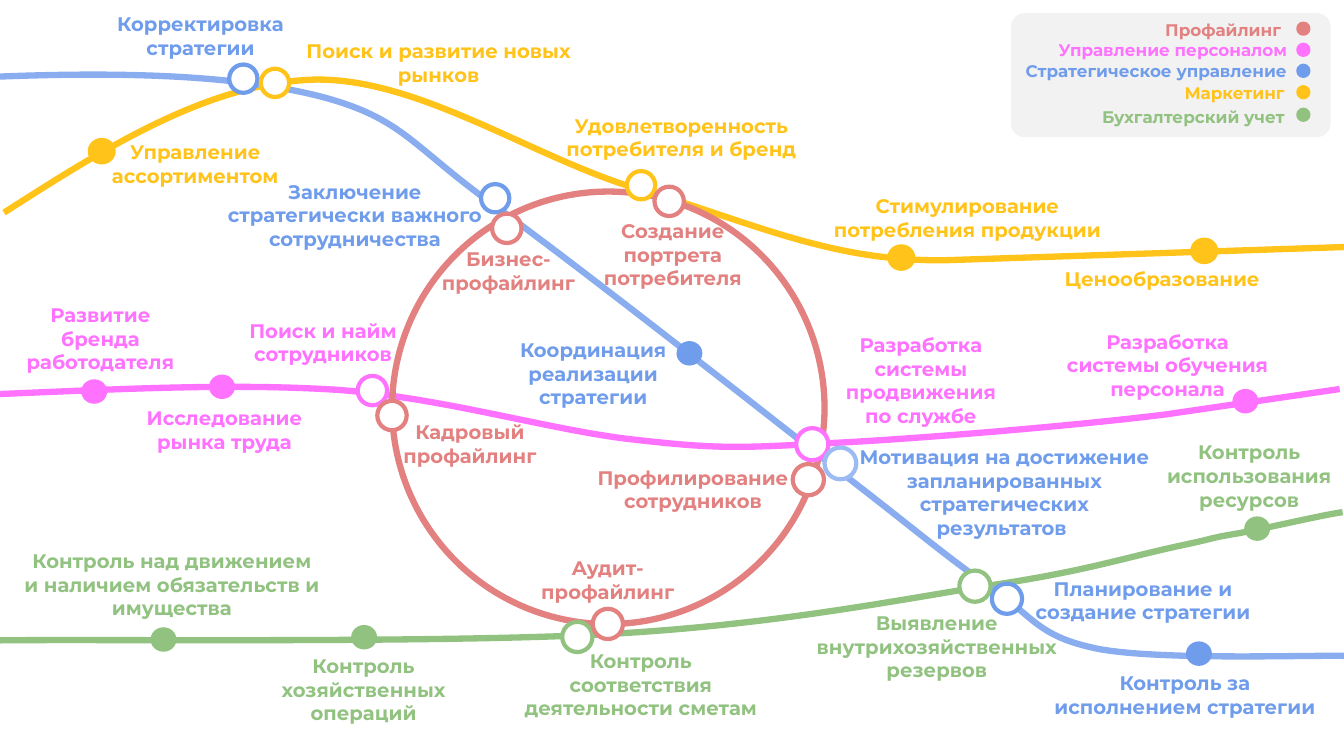
"""Builds a metro-style map of five connected management disciplines."""
from lxml.etree import SubElement
from pptx import Presentation
from pptx.dml.color import RGBColor
from pptx.enum.shapes import MSO_SHAPE
from pptx.enum.text import MSO_AUTO_SIZE, PP_ALIGN
from pptx.oxml.ns import qn
from pptx.util import Pt

COLORS = {
    "profiling": "E38181",
    "staff": "FF71FF",
    "strategy": "709CEC",
    "strategy line": "89ADEF",
    "strategy pale": "9CBBF2",
    "marketing": "FFC319",
    "accounting": "91C280",
    "panel": "F2F2F2",
    "white": "FFFFFF",
}

ROUTES = [
    ("marketing", (2.9, 151.9), [
        [(74.9, 105.8), (147.6, 59.8), (223.2, 56.9)],
        [(299.5, 54.7), (383, 114.5), (459.4, 136.1)],
        [(535, 157.7), (594, 187.9), (678.2, 185.8)],
        [(960, 176.5)],
    ]),
    ("accounting", (959, 365.8), [
        [(943.9, 367.9), (898.6, 378.7), (880.6, 381.6)],
        [(863.3, 384.5), (868.3, 384.5), (841, 390.2)],
        [(798.5, 399.6), (774, 408.2), (706.3, 418.3)],
        [(637.9, 429.1), (552.2, 446.4), (434.2, 452.9)],
        [(316.1, 459.4), (70.6, 456.5), (0, 457.4)],
    ]),
    ("staff", (0, 281.5), [
        [(85.7, 277.9), (167, 273.6), (242.6, 278.6)],
        [(317.5, 284.4), (393.8, 307.4), (451.4, 313.9)],
        [(509, 320.4), (524.2, 320.4), (587.5, 316.8)],
        [(651.6, 313.9), (771.8, 303.8), (833.8, 295.9)],
        [(956.9, 277.9)],
    ]),
    ("strategy line", (0, 54.7), [
        [(92.9, 51.1), (170.6, 54), (229.7, 69.1)],
        [(288.7, 85), (293, 103.7), (354.2, 147.6)],
        [(415.4, 191.5), (595.4, 333.4), (595.4, 333.4)],
        [(654.5, 378.7), (675.4, 397.4), (707, 419)],
        [(738.7, 440.6), (740.9, 455), (785.5, 463.7)],
        [(829.4, 471.6), (930, 468), (960, 468.5)],
    ]),
]

INTERCHANGES = [
    ("staff", 266, 279, 21, "Поиск и найм сотрудников", 165.6, 224.2, 130.3, 2),
    ("profiling", 280, 296.8, 21, "Кадровый профайлинг", 279.2, 296.6, 113, 2),
    ("staff", 580.2, 317.3, 23, "Разработка системы продвижения по службе", 587.3, 234.3, 141.1, 4),
    ("profiling", 577.4, 342.6, 22.3, "Профилирование сотрудников", 418.7, 329.2, 152.6, 2),
    ("strategy", 600.3, 331, 22.7, "Мотивация на достижение запланированных стратегических результатов ",
     604.8, 314.4, 225.4, 4),
    ("accounting", 412.4, 455, 21.6, "Контроль соответствия деятельности сметам", 362, 460, 191.5, 3),
    ("profiling", 434.2, 445.7, 21.6, "Аудит-профайлинг", 367.2, 393.8, 133.9, 2),
    ("strategy", 719.3, 427.7, 21.6, "Планирование и создание стратегии", 727.2, 408.2, 178.6, 2),
    ("accounting", 696.4, 418.7, 22.3, "Выявление внутрихозяйственных резервов", 560.5, 433, 217.4, 3),
    ("marketing", 457.9, 132.3, 20.2, "Удовлетворенность потребителя и бренд", 382.3, 77.6, 208.8, 2),
    ("profiling", 478, 143.8, 21, "Создание портрета потребителя", 404.3, 153, 152.6, 3),
    ("strategy", 353.7, 141.6, 20.2, "Заключение стратегически важного сотрудничества", 153.4, 124.6, 200.2, 3),
    ("profiling", 362, 163.1, 21, "Бизнес-профайлинг", 303.1, 172.8, 120.2, 2),
    ("strategy", 173.8, 56.2, 20.2, "Корректировка стратегии", 67.3, 5, 151.9, 2),
    ("marketing", 196.4, 59.2, 20.2, "Поиск и развитие новых рынков", 210.4, 24.5, 205.9, 2),
]

STATIONS = [
    ("marketing", 72.7, 108, "Управление ассортиментом", 57.4, 96.5, 164.2, 2),
    ("marketing", 643.8, 184, "Стимулирование потребления продукции", 585.2, 135, 211.7, 2),
    ("marketing", 860.2, 179.2, "Ценообразование", 748.1, 187.2, 164.2, 1),
    ("staff", 158.6, 276.3, "Исследование рынка труда", 82.3, 286.6, 156.2, 2),
    ("staff", 889.6, 286.6, "Разработка системы обучения персонала", 751.2, 232, 165.6, 3),
    ("staff", 67.3, 279.7, "Развитие бренда работодателя", 0, 212.8, 143.6, 3),
    ("strategy", 856.4, 466.9, "Контроль за исполнением стратегии", 741.6, 475.9, 209.5, 2),
    ("strategy", 492.5, 252.4, "Координация реализации стратегии", 353.9, 237.9, 139.7, 3),
    ("accounting", 260.1, 455.2, "Контроль хозяйственных операций", 176.9, 463.7, 165.6, 3),
    ("accounting", 116.8, 456.8, "Контроль над движением и наличием обязательств и имущества",
     9.4, 388.8, 226.8, 3),
    ("accounting", 898, 377.6, "Контроль использования ресурсов", 825.1, 311, 134.4, 3),
]

LEGEND = [
    ("profiling", "Профайлинг", 922.1, 106.6, 10.5, 20.5),
    ("staff", "Управление персоналом", 926.6, 227.5, 24.9, 35.6),
    ("strategy", "Стратегическое управление", 926.4, 211.7, 39.6, 50.6),
    ("marketing", "Маркетинг", 924.7, 94.3, 55.4, 65.9),
    ("accounting", "Бухгалтерский учет", 924.8, 164.9, 72.7, 82),
]


class MetroMap:
    """Draws map elements on one slide in a shared style."""

    font = "Montserrat"
    route_width = 4.5
    grid = 100

    def __init__(self, slide):
        """Keep the slide to draw on."""
        self.slide = slide

    def color(self, name):
        """Return the named colour."""
        return RGBColor.from_string(COLORS[name])

    def paint(self, shape, fill=None, line=None, width=0):
        """Set the fill and outline and drop the shadow."""
        shape.shadow.inherit = False
        if fill:
            shape.fill.solid()
            shape.fill.fore_color.rgb = self.color(fill)
        else:
            shape.fill.background()
        if line:
            shape.line.color.rgb = self.color(line)
            shape.line.width = Pt(width)
        else:
            shape.line.fill.background()

    def route(self, theme, start, segments):
        """Draw a route whose straight steps become cubic curves."""
        start_x, start_y = (value * self.grid for value in start)
        ends = [segment[-1] for segment in segments]
        builder = self.slide.shapes.build_freeform(start_x, start_y, scale=Pt(1) / self.grid)
        builder.add_line_segments([(x * self.grid, y * self.grid) for x, y in ends], close=False)
        shape = builder.convert_to_shape()
        left = min(x for x, y in [start, *ends])
        top = min(y for x, y in [start, *ends])
        steps = list(shape.element.iter(qn("a:lnTo")))
        for step, segment in zip(steps, segments):
            if len(segment) == 1:
                continue
            step.remove(step[0])
            step.tag = qn("a:cubicBezTo")
            for x, y in segment:
                SubElement(step, qn("a:pt"), x=str(round((x - left) * self.grid)),
                           y=str(round((y - top) * self.grid)))
        self.paint(shape, line=theme, width=self.route_width)

    def ellipse(self, center_x, center_y, width, height, fill, line, border):
        """Draw an ellipse around a centre."""
        shape = self.slide.shapes.add_shape(
            MSO_SHAPE.OVAL, Pt(center_x - width / 2), Pt(center_y - height / 2), Pt(width), Pt(height))
        self.paint(shape, fill, line, border)

    def panel(self, left, top, width, height, rounding):
        """Draw the rounded legend panel."""
        shape = self.slide.shapes.add_shape(
            MSO_SHAPE.ROUNDED_RECTANGLE, Pt(left), Pt(top), Pt(width), Pt(height))
        shape.adjustments[0] = rounding
        self.paint(shape, "panel")

    def label(self, theme, text, left, top, width, lines=1, size=14, align=PP_ALIGN.CENTER):
        """Write a bold label in the colour of its theme."""
        height = 7.2 + 1.21 * size * lines
        shape = self.slide.shapes.add_textbox(Pt(left), Pt(top), Pt(width), Pt(height))
        shape.text_frame.word_wrap = True
        shape.text_frame.auto_size = MSO_AUTO_SIZE.SHAPE_TO_FIT_TEXT
        paragraph = shape.text_frame.paragraphs[0]
        paragraph.alignment = align
        run = paragraph.add_run()
        run.text = text
        run.font.name = self.font
        run.font.size = Pt(size)
        run.font.bold = True
        run.font.color.rgb = self.color(theme)


def main():
    """Build and save the presentation."""
    presentation = Presentation()
    presentation.slide_width, presentation.slide_height = Pt(960), Pt(540)
    metro = MetroMap(presentation.slides.add_slide(presentation.slide_layouts[6]))
    for route in ROUTES:
        metro.route(*route)
    metro.ellipse(434.5, 291.3, 308.9, 308.9, None, "profiling", metro.route_width)
    for theme, x, y, size, text, *place in INTERCHANGES:
        outline = "strategy pale" if text.startswith("Мотивация") else theme
        metro.ellipse(x, y, size, size, "white", outline, 3)
        metro.label(theme, text, *place)
    metro.panel(722.2, 9.4, 228.2, 88.6, 0.11)
    for theme, text, right, width, top, dot_y in LEGEND:
        metro.label(theme, text, right - width, top, width, size=12, align=PP_ALIGN.RIGHT)
        metro.ellipse(931, dot_y, 7.2, 7.2, theme, theme, 3)
    for theme, x, y, text, *place in STATIONS:
        border = 3 if theme == "marketing" else 1.5
        metro.ellipse(x, y, 17, 16, theme, theme, border)
        metro.label(theme, text, *place)
    presentation.save("out.pptx")


if __name__ == "__main__":
    main()
